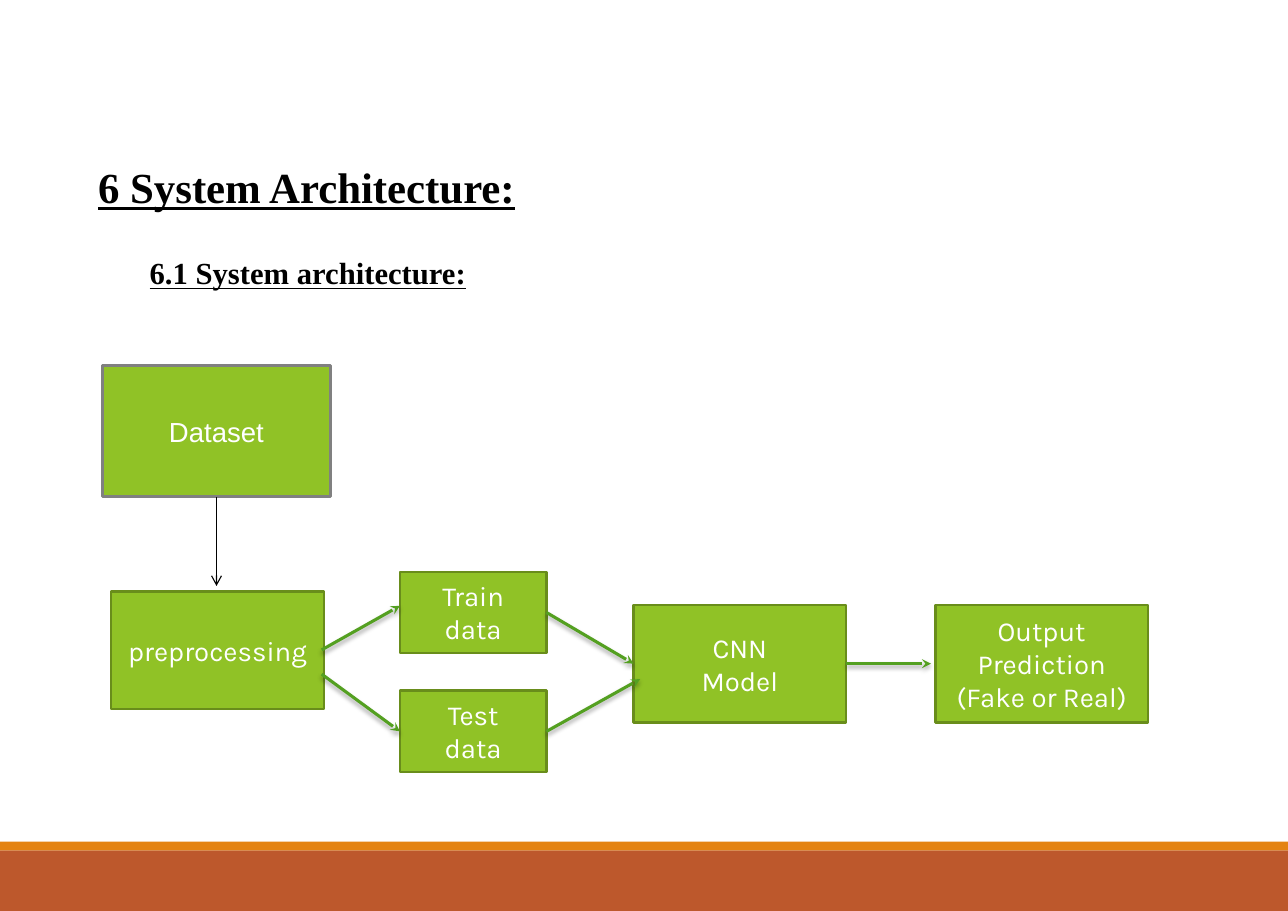
from pptx import Presentation
from pptx.dml.color import RGBColor
from pptx.enum.shapes import MSO_CONNECTOR, MSO_SHAPE
from pptx.enum.text import MSO_ANCHOR, PP_ALIGN
from pptx.oxml import parse_xml
from pptx.oxml.ns import nsdecls
from pptx.util import Inches, Pt

RECTANGLE = MSO_SHAPE.RECTANGLE
STRAIGHT = MSO_CONNECTOR.STRAIGHT
LEFT, CENTER = PP_ALIGN.LEFT, PP_ALIGN.CENTER
TOP, MIDDLE = MSO_ANCHOR.TOP, MSO_ANCHOR.MIDDLE

BLACK = RGBColor(0x00, 0x00, 0x00)
WHITE = RGBColor(0xFF, 0xFF, 0xFF)
BOX_GREEN = RGBColor(0x90, 0xC2, 0x26)
BORDER_GREEN = RGBColor(0x69, 0x8D, 0x1B)
ARROW_GREEN = RGBColor(0x54, 0xA0, 0x21)
GREY = RGBColor(0x80, 0x80, 0x80)
RUST = RGBColor(0xBD, 0x58, 0x2C)
ORANGE = RGBColor(0xE4, 0x83, 0x12)

SLIDE_WIDTH, SLIDE_HEIGHT = 11.69, 8.27
SIDE_LEFT, SIDE_BOTTOM, SIDE_RIGHT = 1, 2, 3

SOFT_SHADOW = (
    '<a:outerShdw blurRad="38100" dist="25400" dir="5400000" rotWithShape="0">'
    '<a:srgbClr val="000000"><a:alpha val="35000"/></a:srgbClr></a:outerShdw>'
)


def add_rectangle(slide, left, top, width, height, fill):
    shape = slide.shapes.add_shape(
        RECTANGLE, Inches(left), Inches(top), Inches(width), Inches(height))
    shape.shadow.inherit = False
    shape.fill.solid()
    shape.fill.fore_color.rgb = fill
    shape.line.fill.background()
    return shape


def add_node(slide, box, lines, border=BORDER_GREEN, border_width=1.5, font_name="Karla"):
    """Green box with one centred paragraph for each line."""
    shape = add_rectangle(slide, *box, BOX_GREEN)
    shape.line.color.rgb = border
    shape.line.width = Pt(border_width)
    frame = shape.text_frame
    frame.word_wrap = True
    frame.vertical_anchor = MIDDLE
    frame.text = "\n".join(lines)
    for paragraph in frame.paragraphs:
        paragraph.alignment = CENTER
        paragraph.font.name = font_name
        paragraph.font.size = Pt(18)
        paragraph.font.color.rgb = WHITE
    return shape


def add_arrow(slide, start, end, color=ARROW_GREEN, width=2, head="stealth",
              effect=SOFT_SHADOW):
    """Arrow whose ends are points or (shape, side) joints."""
    connector = slide.shapes.add_connector(STRAIGHT, 0, 0, 0, 0)
    if isinstance(start[0], float):
        connector.begin_x, connector.begin_y = map(Inches, start)
    else:
        connector.begin_connect(*start)
    if isinstance(end[0], float):
        connector.end_x, connector.end_y = map(Inches, end)
    else:
        connector.end_connect(*end)
    connector.line.color.rgb = color
    connector.line.width = Pt(width)
    connector.line._get_or_add_ln().append(
        parse_xml(f'<a:tailEnd {nsdecls("a")} type="{head}"/>'))
    connector._element.spPr.append(
        parse_xml(f'<a:effectLst {nsdecls("a")}>{effect}</a:effectLst>'))


def write_heading(shape, box, text, size):
    shape.left, shape.top, shape.width, shape.height = map(Inches, box)
    frame = shape.text_frame
    frame.word_wrap = True
    frame.vertical_anchor = TOP
    frame.text = text
    paragraph = frame.paragraphs[0]
    paragraph.alignment = LEFT
    font = paragraph.font
    font.name = "Times New Roman"
    font.size = Pt(size)
    font.bold = font.underline = True
    font.color.rgb = BLACK


def add_headings(slide, left, top):
    write_heading(slide.shapes.title, (left, top, 9.06, 0.53),
                  "6 System Architecture:", 28)
    subheading = slide.shapes.add_textbox(0, 0, 0, 0)
    write_heading(subheading, (left + 0.47, top + 0.85, 4.33, 0.38),
                  "6.1 System architecture:", 20)


def add_footer(slide, top, height):
    stripe = 0.08
    add_rectangle(slide, 0, top + stripe, SLIDE_WIDTH, height - stripe, RUST)
    add_rectangle(slide, 0, top, SLIDE_WIDTH, stripe, ORANGE)


def add_diagram(slide, left, top):
    large, small = (1.93, 1.07), (1.33, 0.74)

    # Processing steps
    preprocess_left, preprocess_top = left + 0.08, top + 2.05
    split_left, train_top = left + 2.7, top + 1.87
    model_top, output_left = top + 2.17, left + 7.56
    add_node(slide, (preprocess_left, preprocess_top, *large), ["preprocessing"])
    train = add_node(slide, (split_left, train_top, *small), ["Train data"])
    test = add_node(slide, (split_left, train_top + 1.08, *small), ["Test", "data"])
    model = add_node(slide, (left + 4.82, model_top, *large), ["CNN", "Model"])
    add_node(slide, (output_left, model_top, *large),
             ["Output", "Prediction", "(Fake or Real)"])

    # Flow between the steps
    preprocess_right = preprocess_left + large[0] - 0.02
    model_middle = model_top + large[1] / 2
    add_arrow(slide, (train, SIDE_RIGHT), (model, SIDE_LEFT))
    add_arrow(slide, (test, SIDE_RIGHT), (left + 4.88, model_middle + 0.14))
    add_arrow(slide, (preprocess_right, preprocess_top + 0.53),
              (split_left, train_top + 0.31))
    add_arrow(slide, (preprocess_right, preprocess_top + 0.75), (test, SIDE_LEFT))
    add_arrow(slide, (model, SIDE_RIGHT), (output_left - 0.04, model_middle))

    # Data source
    dataset = add_node(slide, (left, top, 2.07, 1.19), ["Dataset"], GREY, 2, "Arial")
    add_arrow(slide, (dataset, SIDE_BOTTOM), (left + 2.07 / 2, preprocess_top - 0.05),
              BLACK, 0.75, "arrow", "")


def main():
    presentation = Presentation()
    presentation.slide_width = Inches(SLIDE_WIDTH)
    presentation.slide_height = Inches(SLIDE_HEIGHT)
    title_only = presentation.slide_layouts[5]
    slide = presentation.slides.add_slide(title_only)
    add_footer(slide, 7.64, SLIDE_HEIGHT - 7.64)
    add_headings(slide, 0.79, 1.41)
    add_diagram(slide, 0.93, 3.32)
    presentation.save("out.pptx")


if __name__ == "__main__":
    main()
